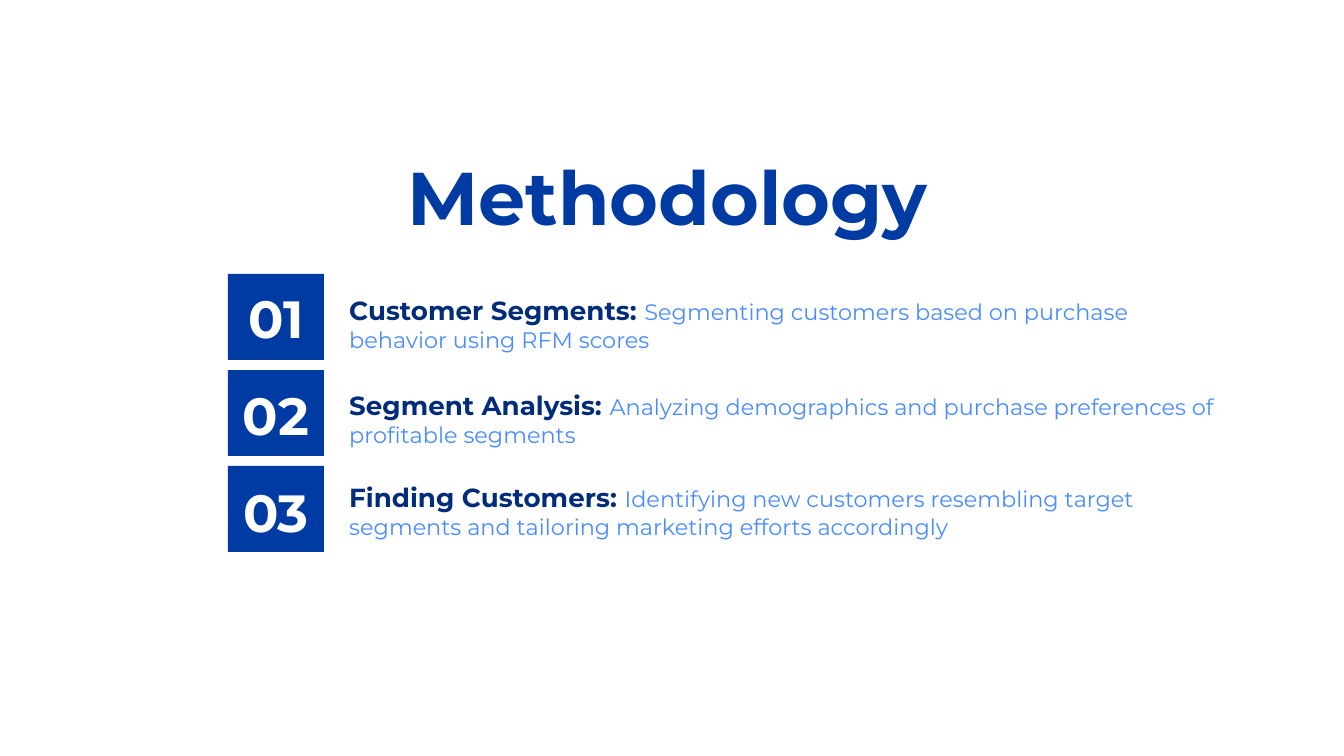
from dataclasses import dataclass

from pptx import Presentation
from pptx.dml.color import RGBColor
from pptx.enum.shapes import MSO_SHAPE
from pptx.enum.text import MSO_ANCHOR, PP_ALIGN
from pptx.util import Emu, Inches, Pt

BLUE = RGBColor(0x00, 0x3B, 0xA3)
NAVY = RGBColor(0x00, 0x2C, 0x7A)
SKY = RGBColor(0x4A, 0x8C, 0xFF)
WHITE = RGBColor(0xFF, 0xFF, 0xFF)

FONT = "Montserrat"
EMU_PER_PX = Inches(10) / 1344

TILE_LEFT, TILE_TOP, TILE_WIDTH, TILE_HEIGHT = 228, 274, 96, 86
TILE_PITCH = 96
NUMBER_TOP, NUMBER_PITCH, NUMBER_HEIGHT = 273, 97, 85
DETAIL_LEFT, DETAIL_WIDTH = 336, 898


@dataclass(frozen=True)
class Frame:
    left: int
    top: int
    width: int
    height: int

    def emu(self) -> list[Emu]:
        return [px(n) for n in (self.left, self.top, self.width, self.height)]


@dataclass(frozen=True)
class Span:
    text: str
    size: int
    color: RGBColor
    bold: bool = True


@dataclass(frozen=True)
class Step:
    heading: str
    detail: str
    top: int
    height: int


STEPS = [
    Step("Customer Segments: ",
         "Segmenting customers based on purchase behavior using RFM scores", 281, 73),
    Step("Segment Analysis: ",
         "Analyzing demographics and purchase preferences of profitable segments", 376, 73),
    Step("Finding Customers: ",
         "Identifying new customers resembling target segments and tailoring "
         "marketing efforts accordingly", 468, 81),
]


def px(length: int) -> Emu:
    return Emu(round(length * EMU_PER_PX))


def add_text(slide, frame: Frame, spans: list[Span], align=PP_ALIGN.LEFT,
             space_after: int = 16) -> None:
    box = slide.shapes.add_textbox(*frame.emu()).text_frame
    inset = Inches(0.1)
    box_format = {
        "word_wrap": True, "vertical_anchor": MSO_ANCHOR.TOP,
        "margin_left": inset, "margin_top": inset,
        "margin_right": inset, "margin_bottom": inset,
    }
    for name, value in box_format.items():
        setattr(box, name, value)
    para = box.paragraphs[0]
    para.alignment = align
    para.space_after = Pt(space_after)
    for span in spans:
        run = para.add_run()
        run.text = span.text
        run_format = {"name": FONT, "size": Pt(span.size), "bold": span.bold}
        for name, value in run_format.items():
            setattr(run.font, name, value)
        run.font.color.rgb = span.color


def add_tile(slide, frame: Frame) -> None:
    tile = slide.shapes.add_shape(MSO_SHAPE.RECTANGLE, *frame.emu())
    tile.shadow.inherit = False
    tile.fill.solid()
    tile.fill.fore_color.rgb = BLUE
    tile.line.fill.background()


def add_step(slide, index: int, step: Step) -> None:
    """Draw the numbered tile and the description beside it."""
    add_tile(slide, Frame(TILE_LEFT, TILE_TOP + index * TILE_PITCH,
                          TILE_WIDTH, TILE_HEIGHT))
    add_text(slide, Frame(TILE_LEFT, NUMBER_TOP + index * NUMBER_PITCH,
                          TILE_WIDTH, NUMBER_HEIGHT),
             [Span(f"{index + 1:02d}", 28, WHITE)], PP_ALIGN.CENTER)
    add_text(slide, Frame(DETAIL_LEFT, step.top, DETAIL_WIDTH, step.height),
             [Span(step.heading, 14, NAVY), Span(step.detail, 12, SKY, bold=False)])


def main() -> None:
    deck = Presentation()
    deck.slide_width, deck.slide_height = px(1344), px(756)
    slide = deck.slides.add_slide(deck.slide_layouts[6])
    add_text(slide, Frame(101, 137, 1133, 137), [Span("Methodology", 40, BLUE)],
             PP_ALIGN.CENTER, space_after=0)
    for index, step in enumerate(STEPS):
        add_step(slide, index, step)
    deck.save("out.pptx")


if __name__ == "__main__":
    main()
